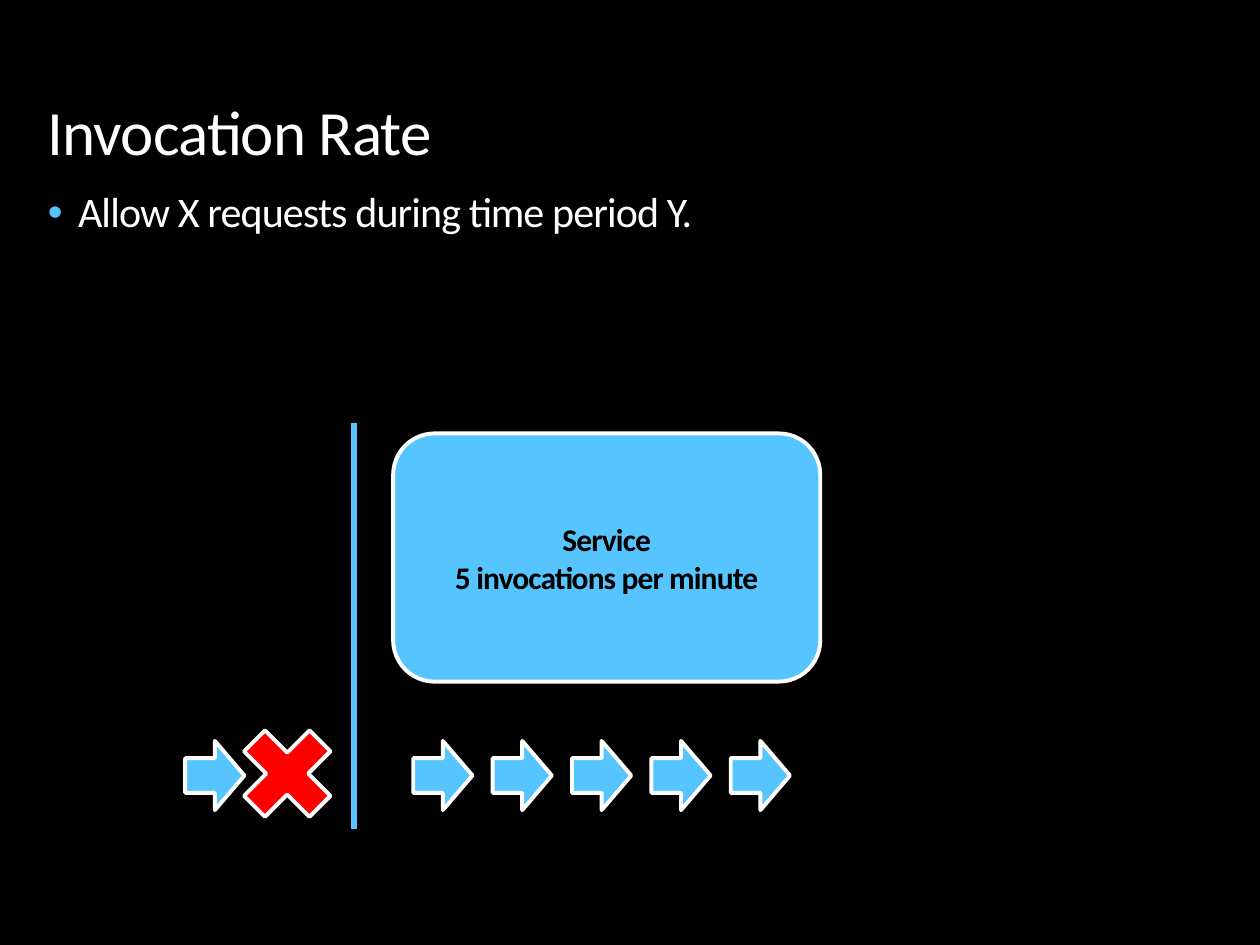
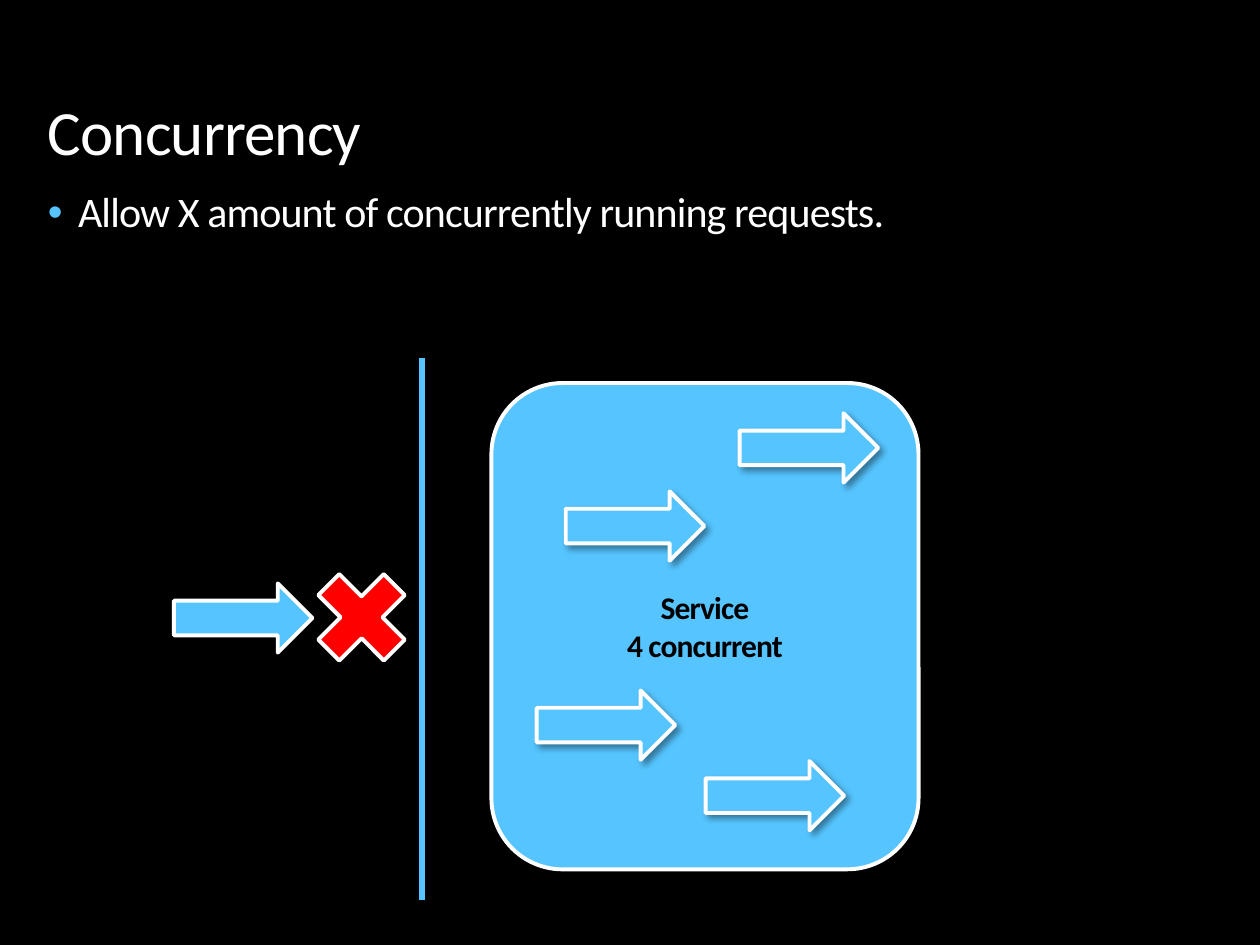
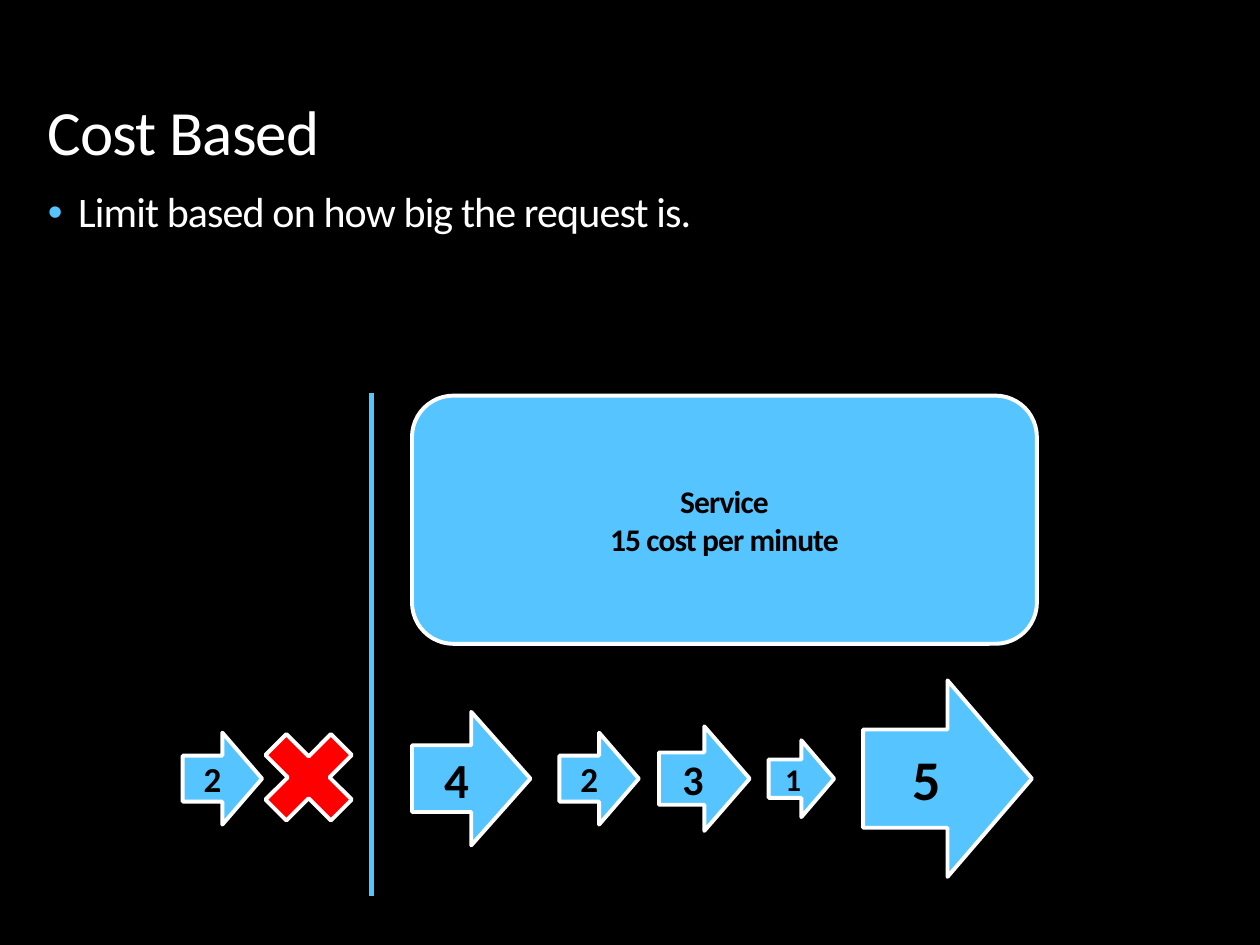
"""Build three slides on ways to limit requests to a service."""
import lxml.etree
import pptx
import pptx.dml.color
import pptx.enum.shapes
import pptx.enum.text
import pptx.oxml
import pptx.oxml.ns
import pptx.util

COLORS = {"background": "000000", "text": "FFFFFF", "accent": "56C5FF",
          "label": "000000", "rejected": "FF0000", "outline": "FFFFFF"}
RGB = {part: pptx.dml.color.RGBColor.from_string(value) for part, value in COLORS.items()}
Pt = pptx.util.Pt
PRESETS = pptx.enum.shapes.MSO_SHAPE
ALIGN = pptx.enum.text.PP_ALIGN
ANCHOR = pptx.enum.text.MSO_ANCHOR
NAMESPACE = pptx.oxml.ns.nsdecls("a")

TITLE_FONT = {"name": "Calibri", "size": Pt(36), "bold": False}
POINT_FONT = {"name": "Calibri", "size": Pt(24), "bold": False}
LABEL_FONT = {"name": "Calibri", "size": Pt(18), "bold": True}
TITLE_PARAGRAPH = {"alignment": ALIGN.LEFT, "line_spacing": 0.9}
POINT_PARAGRAPH = {"alignment": ALIGN.LEFT, "line_spacing": 0.9, "space_before": Pt(18)}
LABEL_PARAGRAPH = {"alignment": ALIGN.CENTER}

BULLET = [f'<a:buClr {NAMESPACE}><a:srgbClr val="{COLORS["accent"]}"/></a:buClr>',
          f'<a:buFont {NAMESPACE} typeface="Arial"/>',
          f'<a:buChar {NAMESPACE} char="•"/>']
SHADOW = (f'<a:outerShdw {NAMESPACE} blurRad="{Pt(4)}" dist="{Pt(3)}" dir="2700000" '
          'algn="tl" rotWithShape="0"><a:srgbClr val="000000">'
          '<a:alpha val="40000"/></a:srgbClr></a:outerShdw>')

deck = pptx.Presentation()
deck.slide_width = pptx.util.Inches(10)
deck.slide_height = pptx.util.Inches(7.5)
COLUMN = deck.slide_width / 100
ROW = deck.slide_height / 75

TITLE_BOX = (2.8, 1.3, 96.1, 12.6)
POINT_BOX = (2.8, 14.7, 96.1, 59.1)
CROSS_SIDE = 10
RATE_ARROW = (4.7, 5.5)
LONG_ARROW = (11, 5.5)
COST_MIDDLE = 61.8
COST_ARROWS = {1: (5.2, 6.1, 18), 2: (6.3, 7.3, 20), 3: (7.2, 8.3, 24),
               4: (9.4, 10.6, 28), 5: (13.4, 15.6, 32)}

rate_requests = [(left, 58.8, *RATE_ARROW, "", 18)
                 for left in [14.7] + [32.8 + 6.3 * step for step in range(5)]]
concurrent_requests = [(left, top, *LONG_ARROW, "", 18) for left, top in
                       [(58.7, 32.8), (44.9, 39), (56, 60.4), (42.6, 54.8), (13.8, 46.3)]]
cost_requests = []
for cost, left in [(2, 14.5), (4, 32.7), (2, 44.4), (3, 52.3), (1, 61), (5, 68.5)]:
    width, height, size = COST_ARROWS[cost]
    cost_requests.append((left, COST_MIDDLE - height / 2, width, height, str(cost), size))

LIMITS = [
    {"title": "Invocation Rate", "point": "Allow X requests during time period Y.",
     "service": (31.2, 34.4, 33.9, 19.7), "capacity": "5 invocations per minute",
     "barrier": (28.1, 33.6, 65.8), "cross": (17.8, 56.4), "requests": rate_requests},
    {"title": "Concurrency", "point": "Allow X amount of concurrently running requests.",
     "service": (39, 30.4, 33.9, 38.6), "capacity": "4 concurrent",
     "barrier": (33.5, 28.4, 71.4), "cross": (23.7, 44), "requests": concurrent_requests},
    {"title": "Cost Based", "point": "Limit based on how big the request is.",
     "service": (32.7, 31.4, 49.6, 19.7), "capacity": "15 cost per minute",
     "barrier": (29.5, 31.2, 71.1), "cross": (19.5, 56.7), "requests": cost_requests},
]


def write(frame, text, font_format, paragraph_format, color, anchor):
    """Fill a text frame with evenly formatted paragraphs."""
    frame.text = text
    frame.word_wrap = True
    frame.auto_size = pptx.enum.text.MSO_AUTO_SIZE.NONE
    frame.vertical_anchor = anchor
    for paragraph in frame.paragraphs:
        for attribute, value in paragraph_format.items():
            setattr(paragraph, attribute, value)
        for run in paragraph.runs:
            for attribute, value in font_format.items():
                setattr(run.font, attribute, value)
            run.font.color.rgb = RGB[color]
            run._r.get_or_add_rPr().set("spc", "-50")


def add_part(slide, preset, box, fill, text="", size=18):
    """Add an outlined shape with a soft shadow, placed on the grid."""
    left, top, width, height = box
    part = slide.shapes.add_shape(preset, round(left * COLUMN), round(top * ROW),
                                  round(width * COLUMN), round(height * ROW))
    part.fill.solid()
    part.fill.fore_color.rgb = RGB[fill]
    part.line.color.rgb = RGB["outline"]
    part.line.width = Pt(2.25)
    part.shadow.inherit = False
    effects = part._element.spPr.find(pptx.oxml.ns.qn("a:effectLst"))
    effects.append(pptx.oxml.parse_xml(SHADOW))
    if text:
        write(part.text_frame, text, LABEL_FONT | {"size": Pt(size)}, LABEL_PARAGRAPH,
              "label", ANCHOR.MIDDLE)


backdrop = deck.slide_master.background.fill
backdrop.solid()
backdrop.fore_color.rgb = RGB["background"]

for limit in LIMITS:
    slide = deck.slides.add_slide(deck.slide_layouts[1])
    title, point = slide.shapes.title, slide.placeholders[1]
    for holder, (left, top, width, height) in [(title, TITLE_BOX), (point, POINT_BOX)]:
        holder.left, holder.top = round(left * COLUMN), round(top * ROW)
        holder.width, holder.height = round(width * COLUMN), round(height * ROW)
    write(title.text_frame, limit["title"], TITLE_FONT, TITLE_PARAGRAPH, "text", ANCHOR.BOTTOM)
    write(point.text_frame, limit["point"], POINT_FONT, POINT_PARAGRAPH, "text", ANCHOR.TOP)
    bulleted = point.text_frame.paragraphs[0]._p.get_or_add_pPr()
    indent = round(2.4 * COLUMN)
    bulleted.set("marL", str(indent))
    bulleted.set("indent", str(-indent))
    for mark in BULLET:
        bulleted.append(pptx.oxml.parse_xml(mark))

    add_part(slide, PRESETS.ROUNDED_RECTANGLE, limit["service"], "accent",
             "Service\n" + limit["capacity"])

    column, top, bottom = limit["barrier"]
    barrier = slide.shapes.add_connector(
        pptx.enum.shapes.MSO_CONNECTOR.STRAIGHT, round(column * COLUMN), round(top * ROW),
        round(column * COLUMN), round(bottom * ROW))
    barrier.line.color.rgb = RGB["accent"]
    barrier.line.width = Pt(3)
    lxml.etree.SubElement(barrier._element.spPr, pptx.oxml.ns.qn("a:effectLst"))

    for *box, cost, size in limit["requests"]:
        add_part(slide, PRESETS.RIGHT_ARROW, box, "accent", cost, size)
    add_part(slide, PRESETS.MATH_MULTIPLY, (*limit["cross"], CROSS_SIDE, CROSS_SIDE), "rejected")

deck.save("out.pptx")
